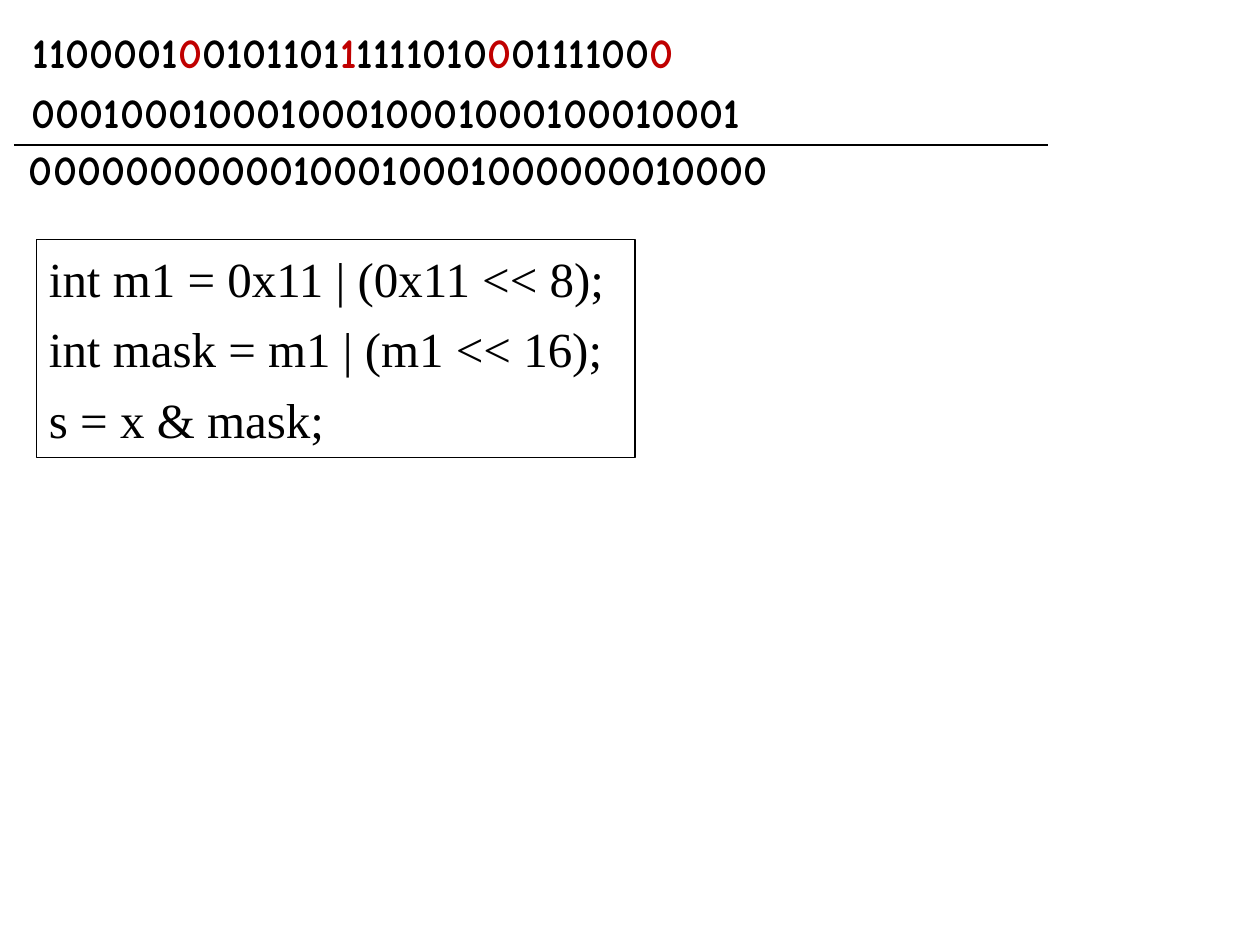
from pptx import Presentation
from pptx.dml.color import RGBColor
from pptx.enum.shapes import MSO_CONNECTOR, MSO_SHAPE
from pptx.enum.text import MSO_ANCHOR, MSO_AUTO_SIZE, PP_ALIGN
from pptx.oxml.ns import qn
from pptx.util import Inches, Pt
from lxml import etree

LINE = MSO_CONNECTOR.STRAIGHT
RECT = MSO_SHAPE.RECTANGLE
MIDDLE = MSO_ANCHOR.MIDDLE
GROW = MSO_AUTO_SIZE.SHAPE_TO_FIT_TEXT
LEFT, JUSTIFY = PP_ALIGN.LEFT, PP_ALIGN.JUSTIFY

BLACK, RED = "000000", "C00000"
BITS = {"name": "Comic Neue", "size": Pt(24), "bold": True}
CODE = {"name": "Times New Roman", "size": Pt(28), "bold": False}


def color(code):
    return RGBColor.from_string(code)


class Board:
    """Holds the slide and the line style."""

    def __init__(self, slide, width=0.75):
        self.slide = slide
        self.width = Pt(width)

    def run(self, para, text, style, tint=BLACK):
        run = para.add_run()
        run.text = text
        for key, value in style.items():
            setattr(run.font, key, value)
        run.font.color.rgb = color(tint)

    def stroke(self, item):
        item.line.color.rgb = color(BLACK)
        item.line.width = self.width

    def bits(self, left, top, parts):
        """One row of digits; every second part is marked red."""
        box = self.slide.shapes.add_textbox(
            Inches(left), Inches(top), Inches(8.11), Inches(0.51))
        frame = box.text_frame
        frame.word_wrap = True
        frame.auto_size = GROW
        for side in ("left", "top", "right", "bottom"):
            setattr(frame, f"margin_{side}", Inches(0.05))
        para = frame.paragraphs[0]
        para.alignment = JUSTIFY
        for i, part in enumerate(parts):
            self.run(para, part, BITS, RED if i % 2 else BLACK)

    def rule(self, left, right, top):
        line = self.slide.shapes.add_connector(
            LINE, Inches(left), Inches(top), Inches(right), Inches(top))
        self.stroke(line)
        etree.SubElement(line._element.spPr, qn("a:effectLst"))

    def code(self, left, top, width, height, rows):
        """Framed lines of code with a hanging indent."""
        box = self.slide.shapes.add_shape(
            RECT, Inches(left), Inches(top), Inches(width), Inches(height))
        box.shadow.inherit = False
        box.fill.background()
        self.stroke(box)
        frame = box.text_frame
        frame.word_wrap = True
        frame.vertical_anchor = MIDDLE
        for i, row in enumerate(rows):
            para = frame.add_paragraph() if i else frame.paragraphs[0]
            para.alignment = LEFT
            para.space_before = Pt(6.5)
            props = para._p.get_or_add_pPr()
            props.set("marL", str(Inches(0.38)))
            props.set("indent", str(-Inches(0.38)))
            self.run(para, row, CODE)


def main():
    deck = Presentation()
    deck.slide_width, deck.slide_height = Inches(10), Inches(7.5)
    board = Board(deck.slides.add_slide(deck.slide_layouts[6]))

    # Number, mask and result
    board.bits(0.21, 0.16, ["1100001", "0", "0101101", "1",
                            "1111010", "0", "0111100", "0"])
    board.bits(0.2, 0.64, ["0001" * 8])
    board.rule(0.11, 8.32, 1.15)
    board.bits(0.18, 1.09, ["00000000000100010001000000010000"])

    # Code that builds the mask
    board.code(0.29, 1.9, 4.75, 1.73, [
        "int m1 = 0x11 | (0x11 << 8);",
        "int mask = m1 | (m1 << 16);",
        "s = x & mask;",
    ])

    deck.save("out.pptx")


if __name__ == "__main__":
    main()
